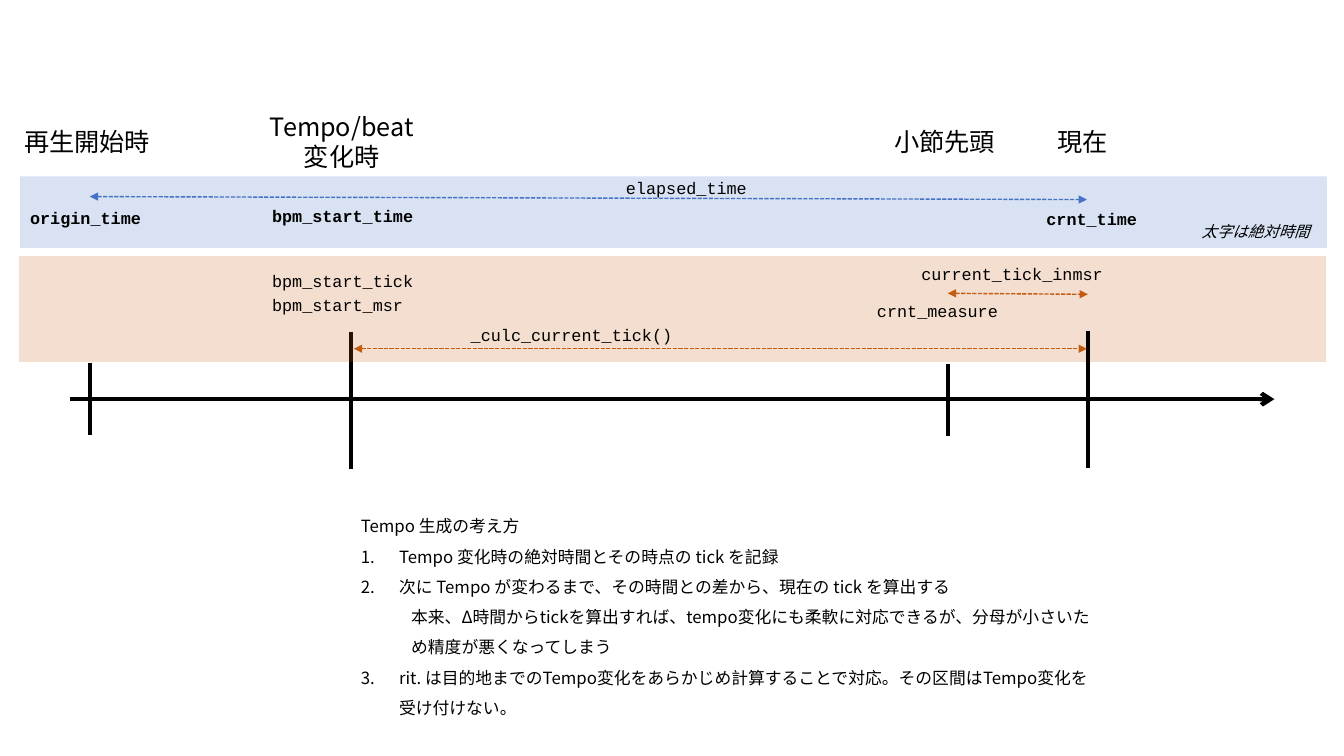
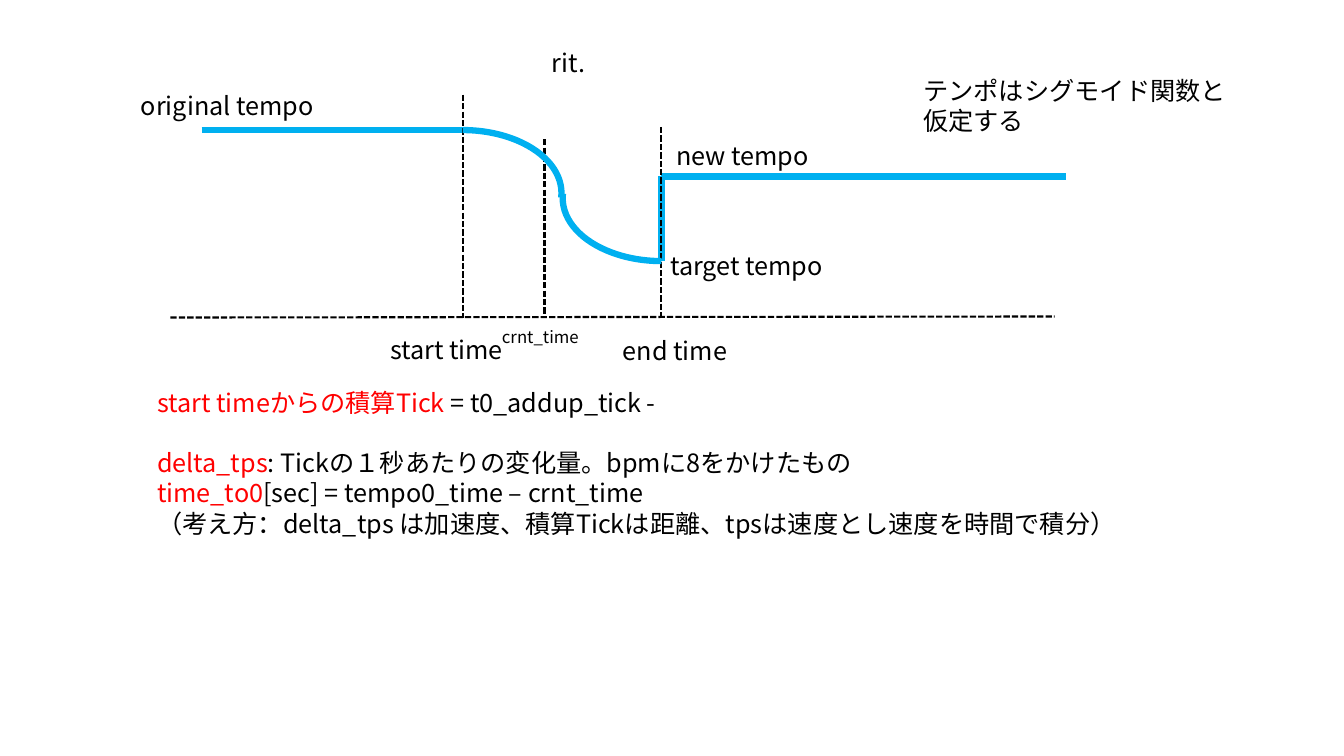
from lxml.etree import SubElement
from pptx import Presentation
from pptx.dml.color import RGBColor
from pptx.enum.shapes import MSO_CONNECTOR as CONNECTOR, MSO_SHAPE as SHAPE
from pptx.enum.text import MSO_AUTO_SIZE as AUTO_SIZE, PP_ALIGN as ALIGN
from pptx.oxml.ns import qn
from pptx.util import Inches, Pt

SANS = "Noto Sans CJK JP"
MONO = "Courier New"
BLACK, RED = "000000", "FF0000"
BLUE, ORANGE, CYAN = "4472C4", "C55A11", "00B0F0"

ORIGIN_X, TEMPO_X, MEASURE_X, NOW_X = 0.89, 3.48, 9.4, 10.79
START_X, CURRENT_X, END_X = 4.59, 5.4, 6.56
ORIGINAL_Y, NEW_Y, TARGET_Y, TIME_Y = 1.29, 1.75, 2.59, 3.15


def rgb(color):
    """Turn a hex string into a colour."""
    return RGBColor.from_string(color)


def inches(*lengths):
    """Convert several lengths to inches."""
    return [Inches(length) for length in lengths]


def style_paragraph(paragraph, size, font=SANS, bold=None, italic=None, align=None):
    """Set the alignment and the common font of a paragraph."""
    paragraph.alignment = align
    paragraph.font.size = Pt(size)
    paragraph.font.name = font
    paragraph.font.bold = bold
    paragraph.font.italic = italic
    paragraph.font.color.rgb = rgb(BLACK)
    defaults = paragraph._p.get_or_add_pPr().find(qn("a:defRPr"))
    SubElement(defaults, qn("a:ea"), typeface=font)


def add_text_frame(slide, left, top, width, height):
    """Add a wrapping text box and return its frame."""
    frame = slide.shapes.add_textbox(*inches(left, top, width, height)).text_frame
    frame.word_wrap = True
    frame.auto_size = AUTO_SIZE.SHAPE_TO_FIT_TEXT
    return frame


def add_paragraphs(frame, count):
    """Return the given number of paragraphs in an empty frame."""
    return [frame.paragraphs[0]] + [frame.add_paragraph() for _ in range(count - 1)]


def add_label(slide, text, left, top, width, height=0.4, size=18, **style):
    """Add a label with one paragraph for each line of text."""
    lines = text.split("\n")
    frame = add_text_frame(slide, left, top, width, height)
    for paragraph, line in zip(add_paragraphs(frame, len(lines)), lines):
        paragraph.text = line
        style_paragraph(paragraph, size, **style)


def add_code(slide, text, left, top, width=1.76, bold=None):
    """Add a variable name in the code font."""
    add_label(slide, text, left, top, width, 0.3, 12, font=MONO, bold=bold)


def add_line(slide, start, end, color, width, dashed=False, head=None, tail=None):
    """Add a straight line with optional dashes and arrowheads."""
    connector = slide.shapes.add_connector(
        CONNECTOR.STRAIGHT, *inches(*start, *end))
    connector.line.color.rgb = rgb(color)
    connector.line.width = Pt(width)
    properties = connector._element.spPr
    line = properties.find(qn("a:ln"))
    if dashed:
        SubElement(line, qn("a:prstDash"), val="sysDash")
    for tag, kind in (("a:headEnd", head), ("a:tailEnd", tail)):
        if kind:
            SubElement(line, qn(tag), type=kind)
    SubElement(properties, qn("a:effectLst"))


def add_span(slide, start, end, color):
    """Add a dashed arrow that points both ways."""
    add_line(slide, start, end, color, 1, True, "triangle", "triangle")


def add_tick(slide, x, top, height):
    """Add a vertical mark on the time axis."""
    add_line(slide, (x, top), (x, top + height), BLACK, 3)


def add_band(slide, left, top, height, color):
    """Add a translucent full-width band."""
    band = slide.shapes.add_shape(
        SHAPE.RECTANGLE, *inches(left, top, 12.96, height))
    band.shadow.inherit = False
    band.fill.solid()
    band.fill.fore_color.rgb = rgb(color)
    band.line.fill.background()
    fill_color = band._element.spPr.find(qn("a:solidFill"))[0]
    SubElement(fill_color, qn("a:alpha"), val="20000")


def add_curve(slide, left, top, rotation=0):
    """Add a quarter arc of the tempo curve."""
    arc = slide.shapes.add_shape(SHAPE.ARC, *inches(left, top, 1.96, 1.25))
    arc.adjustments[0] = 162
    arc.adjustments[1] = 1.527
    arc.rotation = rotation
    arc.shadow.inherit = False
    arc.fill.background()
    arc.line.color.rgb = rgb(CYAN)
    arc.line.width = Pt(4.5)


def add_tempo_notes(slide):
    """Add the numbered notes on how the tempo is made."""
    notes = [
        ("Tempo 生成の考え方", "heading"),
        ("Tempo 変化時の絶対時間とその時点の tick を記録", "step"),
        ("次に Tempo が変わるまで、その時間との差から、現在の tick を算出する", "step"),
        ("本来、Δ時間からtickを算出すれば、tempo変化にも柔軟に対応できるが、"
         "分母が小さいため精度が悪くなってしまう", "detail"),
        ("rit. は目的地までのTempo変化をあらかじめ計算することで対応。"
         "その区間はTempo変化を受け付けない。", "step"),
    ]
    frame = add_text_frame(slide, 3.48, 4.97, 7.57, 2.19)
    for paragraph, (text, role) in zip(add_paragraphs(frame, len(notes)), notes):
        paragraph.text = text
        paragraph.line_spacing = 1.5
        properties = paragraph._p.get_or_add_pPr()
        if role == "step":
            properties.set("marL", str(Inches(0.38)))
            properties.set("indent", str(Inches(-0.38)))
            SubElement(properties, qn("a:buAutoNum"), type="arabicPeriod")
        elif role == "detail":
            paragraph.level = 1
            properties.set("marL", str(Inches(0.5)))
            properties.set("indent", "0")
        style_paragraph(paragraph, 12)


def add_formulas(slide):
    """Add the formulas with their leading terms in red."""
    formulas = [
        ("start timeからの積算Tick", " = t0_addup_tick - "),
        ("delta_tps", ": Tickの１秒あたりの変化量。bpmに8をかけたもの"),
        ("time_to0", "[sec] = tempo0_time – crnt_time"),
        ("", "（考え方：delta_tps は加速度、積算Tickは距離、"
             "tpsは速度とし速度を時間で積分）"),
    ]
    frame = add_text_frame(slide, 1.46, 3.79, 10.15, 1.92)
    paragraphs = add_paragraphs(frame, len(formulas))
    for paragraph, (term, rest) in zip(paragraphs, formulas):
        if term:
            run = paragraph.add_run()
            run.text = term
            run.font.color.rgb = rgb(RED)
        paragraph.add_run().text = rest
        style_paragraph(paragraph, 18)
    paragraphs[0].space_after = Pt(21.6)


def build_timeline(slide):
    """Draw the playback timeline and its variables."""
    add_band(slide, 0.2, 1.75, 0.71, BLUE)
    add_line(slide, (0.69, 3.96), (12.64, 3.96), BLACK, 3, tail="arrow")
    add_tick(slide, ORIGIN_X, 3.6, 0.72)
    add_tick(slide, TEMPO_X, 3.29, 1.36)
    add_band(slide, 0.19, 2.54, 1.05, ORANGE)
    add_tick(slide, MEASURE_X, 3.61, 0.72)
    add_tick(slide, NOW_X, 3.28, 1.36)

    add_label(slide, "再生開始時", 0.14, 1.2, 1.51)
    add_label(slide, "Tempo/beat\n変化時", 2.51, 1.05, 1.76, 0.71, align=ALIGN.CENTER)
    add_label(slide, "小節先頭", 8.77, 1.2, 1.28)
    add_label(slide, "現在", 10.39, 1.2, 0.79)
    add_label(slide, "太字は絶対時間", 11.82, 2.15, 1.33, 0.29, 11, italic=True)

    add_code(slide, "origin_time", 0.2, 2.01, 1.39, bold=True)
    add_code(slide, "bpm_start_time", 2.6, 1.99, bold=True)
    add_code(slide, "crnt_time", 10.28, 2.02, bold=True)
    add_code(slide, "elapsed_time", 6.11, 1.71)
    add_code(slide, "bpm_start_tick", 2.6, 2.64)
    add_code(slide, "bpm_start_msr", 2.6, 2.87)
    add_code(slide, "crnt_measure", 8.6, 2.93)
    add_code(slide, "current_tick_inmsr", 9.04, 2.57, 2.02)
    add_code(slide, "_culc_current_tick()", 4.57, 3.17, 2.29)

    add_span(slide, (ORIGIN_X, 1.95), (10.78, 1.98), BLUE)
    add_span(slide, (MEASURE_X, 2.91), (NOW_X, 2.92), ORANGE)
    add_span(slide, (3.51, 3.46), (10.78, 3.46), ORANGE)
    add_tempo_notes(slide)


def build_ritardando(slide):
    """Draw the tempo curve of a ritardando and its formulas."""
    tempo_lines = [
        ((2, ORIGINAL_Y), (START_X, ORIGINAL_Y)),
        ((END_X, TARGET_Y), (END_X, NEW_Y)),
        ((END_X, NEW_Y), (10.57, NEW_Y)),
    ]
    for start, end in tempo_lines:
        add_line(slide, start, end, CYAN, 4.5)
    for x, top in ((START_X, 0.94), (CURRENT_X, 1.38), (END_X, 1.26)):
        add_line(slide, (x, top), (x, TIME_Y), BLACK, 1.5, dashed=True)
    add_line(slide, (1.69, TIME_Y), (10.46, 3.14), BLACK, 1.5, dashed=True)
    add_curve(slide, 3.61, ORIGINAL_Y)
    add_curve(slide, 5.58, 1.34, rotation=180)

    add_label(slide, "original tempo", 1.3, 0.85, 2.47)
    add_label(slide, "new tempo", 6.42, 1.34, 1.89, align=ALIGN.CENTER)
    add_label(slide, "target tempo", 6.55, 2.43, 2.14)
    add_label(slide, "start time", 3.77, 3.27, 1.64)
    add_label(slide, "crnt_time", 4.88, 3.19, 1.05, 0.3, 12)
    add_label(slide, "end time", 6.08, 3.28, 1.27)
    add_label(slide, "rit.", 5.19, 0.42, 0.9, align=ALIGN.CENTER)
    add_label(slide, "テンポはシグモイド関数と仮定する", 9.06, 0.7, 3.43, 0.71)
    add_formulas(slide)


def main():
    """Build and save the presentation."""
    presentation = Presentation()
    presentation.slide_width, presentation.slide_height = inches(13.33, 7.5)
    blank_layout = presentation.slide_layouts[6]
    for build in (build_timeline, build_ritardando):
        build(presentation.slides.add_slide(blank_layout))
    presentation.save("out.pptx")


if __name__ == "__main__":
    main()
